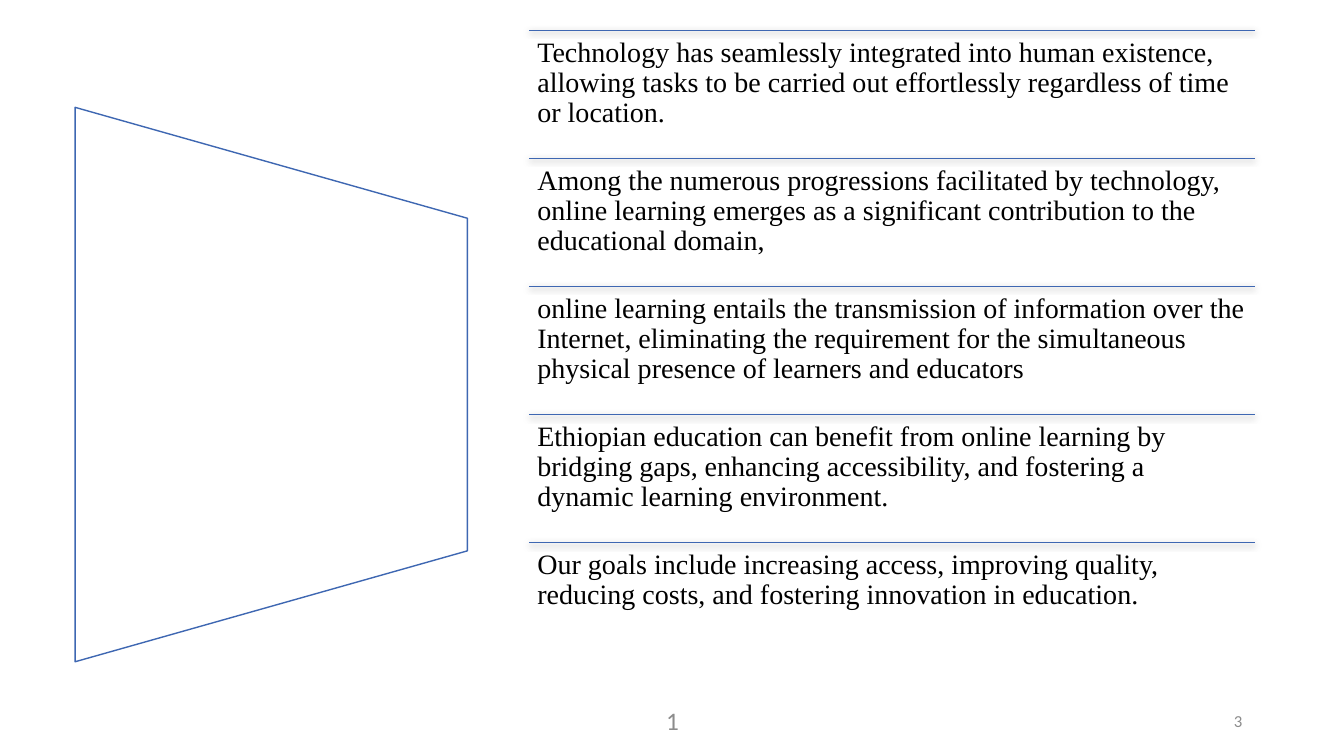
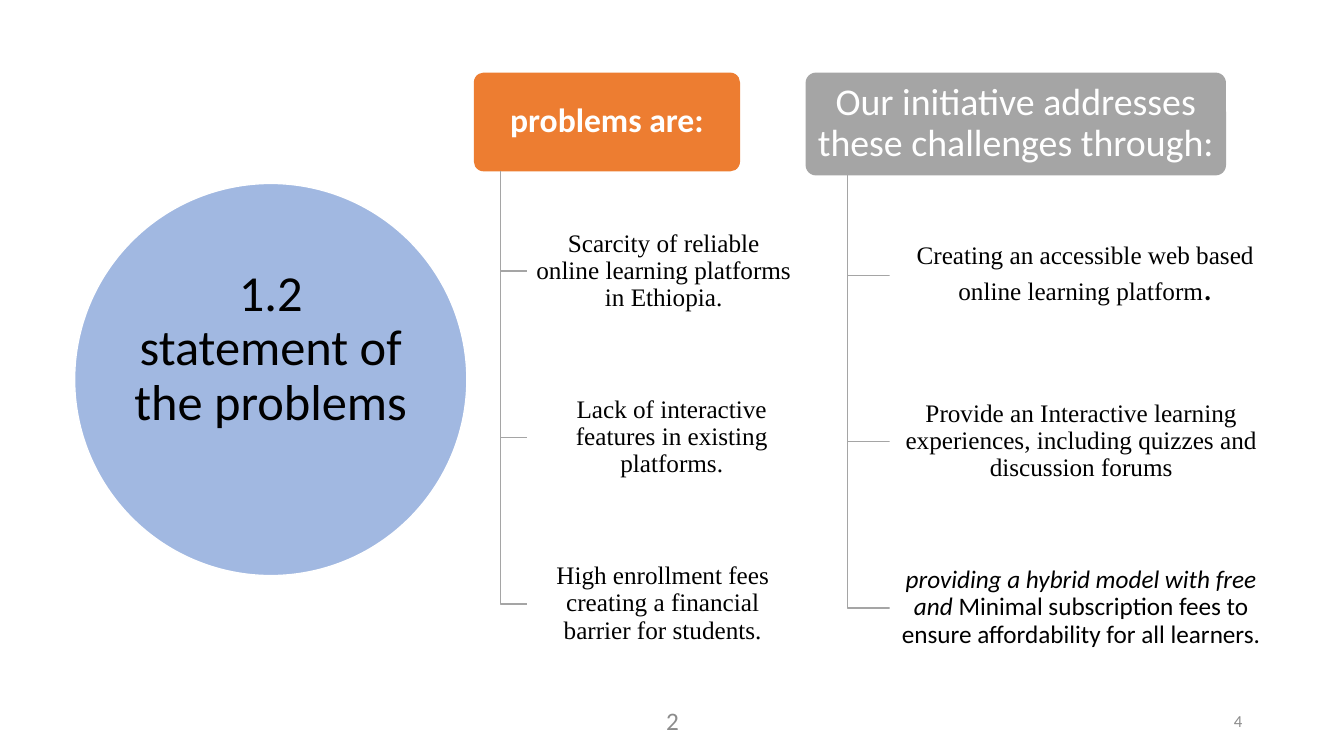
from dataclasses import dataclass

from lxml import etree
from pptx import Presentation
from pptx.dml.color import RGBColor
from pptx.enum.shapes import MSO_CONNECTOR as Connector, MSO_SHAPE as Shape
from pptx.enum.text import MSO_ANCHOR as Anchor, PP_ALIGN as Align
from pptx.oxml.ns import qn
from pptx.util import Inches, Pt

COLORS = {
    "text": "000000",
    "white": "FFFFFF",
    "outline": "3E67B2",
    "circle": "4472C4",
    "orange": "ED7D31",
    "gray": "A5A5A5",
    "footer": "8C8C8C",
}
SANS, SERIF = "Calibri", "Times New Roman"
LINE_SPACING = 0.9


@dataclass(frozen=True)
class TextRun:
    text: str
    size: float = 18
    font: str = SERIF
    color: str = "text"
    bold: bool = False
    italic: bool = False


@dataclass(frozen=True)
class Item:
    width: float
    runs: tuple[TextRun, ...]


@dataclass(frozen=True)
class Branch:
    """A header with a trunk that leads down to its items."""
    left: float
    width: float
    height: float
    fill: str
    title: TextRun
    items: tuple[Item, ...]


STATEMENTS = (
    "Technology has seamlessly integrated into human existence, allowing tasks to be "
    "carried out effortlessly regardless of time or location.",
    "Among the numerous progressions facilitated by technology, online learning emerges "
    "as a significant contribution to the educational domain,",
    "online learning entails the transmission of information over the Internet, "
    "eliminating the requirement for the simultaneous physical presence of learners "
    "and educators",
    "Ethiopian education can benefit from online learning by bridging gaps, enhancing "
    "accessibility, and fostering a dynamic learning environment.",
    "Our goals include increasing access, improving quality, reducing costs, and "
    "fostering innovation in education.",
)

BRANCHES = (
    Branch(4.7, 2.64, 0.98, "orange",
           TextRun("problems are:", 24, SANS, "white", bold=True), (
               Item(2.71, (TextRun(
                   "Scarcity of reliable online learning platforms in Ethiopia."),)),
               Item(2.87, (TextRun(
                   "Lack of interactive features in existing platforms."),)),
               Item(2.69, (TextRun(
                   "High enrollment fees creating a financial barrier for students."),)),
           )),
    Branch(7.99, 4.17, 1.02, "gray",
           TextRun("Our initiative addresses these challenges through:", 27, SANS, "white"), (
               Item(3.88, (
                   TextRun("Creating an accessible web based online learning platform"),
                   TextRun(".", 25, SANS))),
               Item(3.8, (TextRun(
                   "Provide an Interactive learning experiences, including quizzes and "
                   "discussion forums"),)),
               Item(3.8, (
                   TextRun("providing a hybrid model with free and ", font=SANS, italic=True),
                   TextRun("Minimal subscription fees to ensure affordability for all "
                           "learners.", font=SANS))),
           )),
)


def rgb(name: str) -> RGBColor:
    return RGBColor.from_string(COLORS[name])


def write(shape, runs: tuple[TextRun, ...], align=Align.CENTER, anchor=Anchor.MIDDLE,
          insets=(0.1, 0.05, 0.1, 0.05), spacing: float = LINE_SPACING) -> None:
    """Fill a shape with one paragraph; insets run left, top, right, bottom."""
    frame = shape.text_frame
    frame.word_wrap = True
    frame.vertical_anchor = anchor
    (frame.margin_left, frame.margin_top,
     frame.margin_right, frame.margin_bottom) = map(Inches, insets)
    paragraph = frame.paragraphs[0]
    paragraph.alignment = align
    paragraph.line_spacing = spacing
    for item in runs:
        run = paragraph.add_run()
        run.text = item.text
        run.font.name = item.font
        run.font.size = Pt(item.size)
        run.font.bold = item.bold
        run.font.italic = item.italic
        run.font.color.rgb = rgb(item.color)


def add_text(slide, left: float, top: float, width: float, height: float,
             run: TextRun, **style) -> None:
    box = slide.shapes.add_textbox(Inches(left), Inches(top), Inches(width), Inches(height))
    write(box, (run,), **style)


def add_filled(slide, kind, left: float, top: float, width: float, height: float,
               fill: str, line: str | None = None):
    shape = slide.shapes.add_shape(
        kind, Inches(left), Inches(top), Inches(width), Inches(height))
    shape.shadow.inherit = False
    shape.fill.solid()
    shape.fill.fore_color.rgb = rgb(fill)
    if line:
        shape.line.color.rgb = rgb(line)
        shape.line.width = Pt(1)
    else:
        shape.line.fill.background()
    return shape


def add_card(slide, left: float, top: float, width: float, height: float,
             fill: str, runs: tuple[TextRun, ...], insets) -> None:
    card = add_filled(slide, Shape.ROUNDED_RECTANGLE, left, top, width, height, fill)
    card.adjustments[0] = 0.1
    write(card, runs, insets=insets)


def set_opacity(shape, percent: int) -> None:
    color = shape.fill._xPr.find(qn("a:solidFill"))[0]
    etree.SubElement(color, qn("a:alpha"), val=str(percent * 1000))


def add_rule(slide, left: float, top: float, width: float) -> None:
    """Draw a thin horizontal line with a soft shadow below it."""
    rule = slide.shapes.add_connector(
        Connector.STRAIGHT, Inches(left), Inches(top), Inches(left + width), Inches(top))
    rule.line.color.rgb = rgb("outline")
    rule.line.width = Pt(0.5)
    effects = etree.SubElement(rule._element.spPr, qn("a:effectLst"))
    shadow = etree.SubElement(
        effects, qn("a:outerShdw"), blurRad=str(Pt(4.5)), dist=str(Pt(1.5)),
        dir="5400000", algn="ctr", rotWithShape="0")
    color = etree.SubElement(shadow, qn("a:srgbClr"), val=COLORS["text"])
    etree.SubElement(color, qn("a:alpha"), val="63000")


def add_elbow(slide, left: float, top: float, right: float, bottom: float) -> None:
    builder = slide.shapes.build_freeform(Inches(left), Inches(top))
    builder.add_line_segments(
        [(Inches(left), Inches(bottom)), (Inches(right), Inches(bottom))], close=False)
    elbow = builder.convert_to_shape()
    elbow.shadow.inherit = False
    elbow.fill.background()
    elbow.line.color.rgb = rgb("gray")
    elbow.line.width = Pt(1)


def add_branch(slide, branch: Branch) -> None:
    top, gap, item_height, pitch = 0.72, 0.33, 1.32, 1.65
    bottom = top + branch.height
    trunk = branch.left + branch.width * 0.1
    item_left = branch.left + branch.width * 0.2
    add_card(slide, branch.left, top, branch.width, branch.height, branch.fill,
             (branch.title,), (0.05, 0.03, 0.05, 0.03))
    for index, item in enumerate(branch.items):
        item_top = bottom + gap + index * pitch
        add_elbow(slide, trunk, bottom, item_left, item_top + item_height / 2)
        add_card(slide, item_left, item_top, item.width, item_height, "white",
                 item.runs, (0.04, 0.03, 0.04, 0.03))


def add_footer(slide, center_number: int, page_number: int) -> None:
    add_text(slide, 4.42, 6.95, 4.5, 0.4,
             TextRun(str(center_number), 18, SANS, "footer"), spacing=1.0)
    add_text(slide, 9.42, 6.95, 3, 0.4,
             TextRun(str(page_number), 12, SANS, "footer"), align=Align.RIGHT, spacing=1.0)


def build_statements(slide) -> None:
    left, top, width, pitch = 5.25, 0.3, 7.2, 1.27
    panel = add_filled(slide, Shape.FLOWCHART_MANUAL_OPERATION,
                       -0.06, 1.87, 5.5, 3.89, "white", "outline")
    panel.rotation = 270
    for index, statement in enumerate(STATEMENTS):
        row_top = top + index * pitch
        add_rule(slide, left, row_top, width)
        add_text(slide, left, row_top, width, pitch, TextRun(statement, 20),
                 align=Align.LEFT, anchor=Anchor.TOP, insets=(0.08,) * 4)


def build_problems(slide) -> None:
    circle = add_filled(slide, Shape.OVAL, 0.74, 1.82, 3.89, 3.89, "circle", "white")
    set_opacity(circle, 50)
    write(circle, (TextRun("1.2 statement of the problems", 36, SANS),),
          insets=(0, 0, 0, 0.6))
    for branch in BRANCHES:
        add_branch(slide, branch)


def main() -> None:
    presentation = Presentation()
    presentation.slide_width = Inches(13.33)
    presentation.slide_height = Inches(7.5)
    blank = presentation.slide_layouts[6]
    for number, build in enumerate((build_statements, build_problems), start=1):
        slide = presentation.slides.add_slide(blank)
        build(slide)
        add_footer(slide, number, number + 2)
    presentation.save("out.pptx")


if __name__ == "__main__":
    main()
